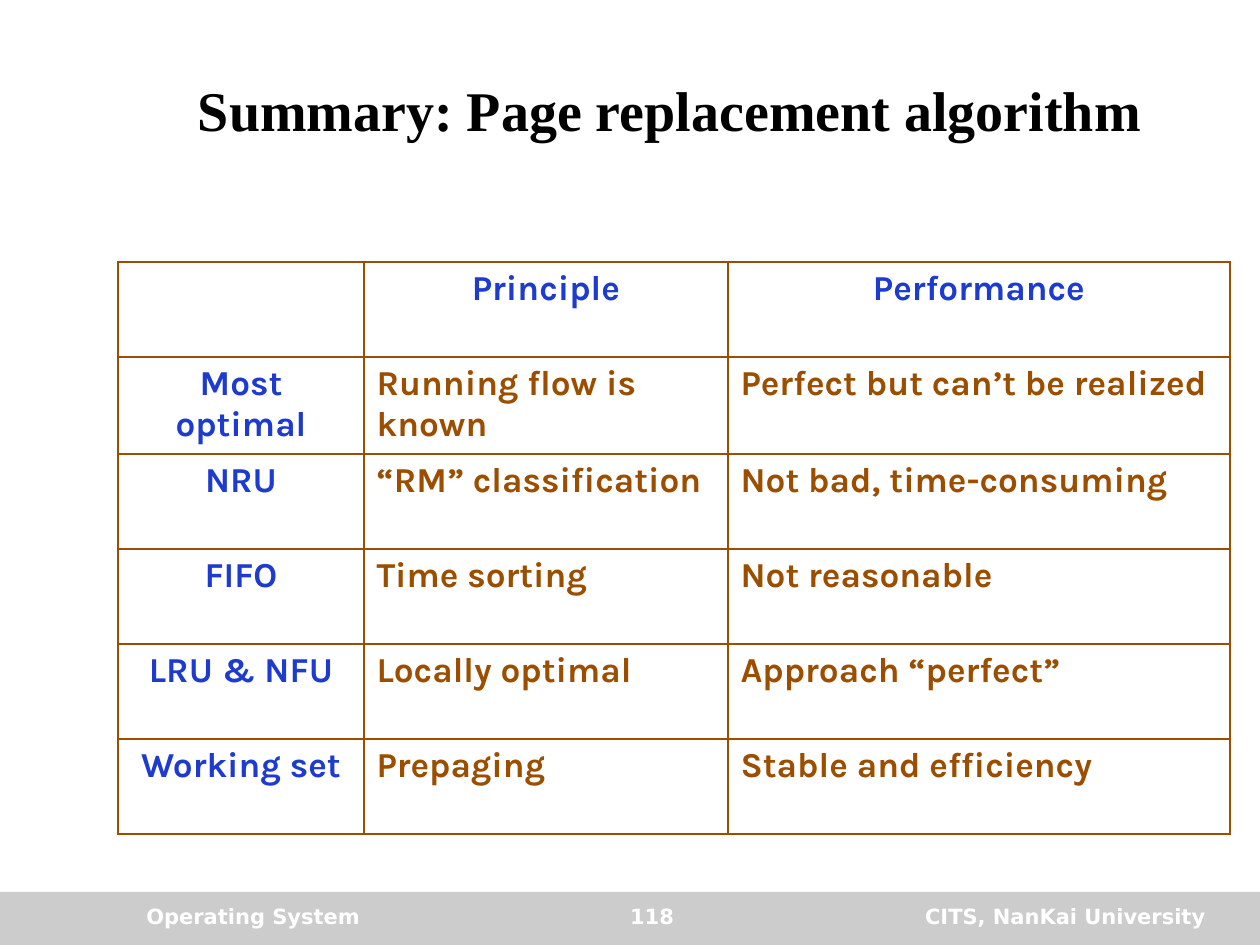
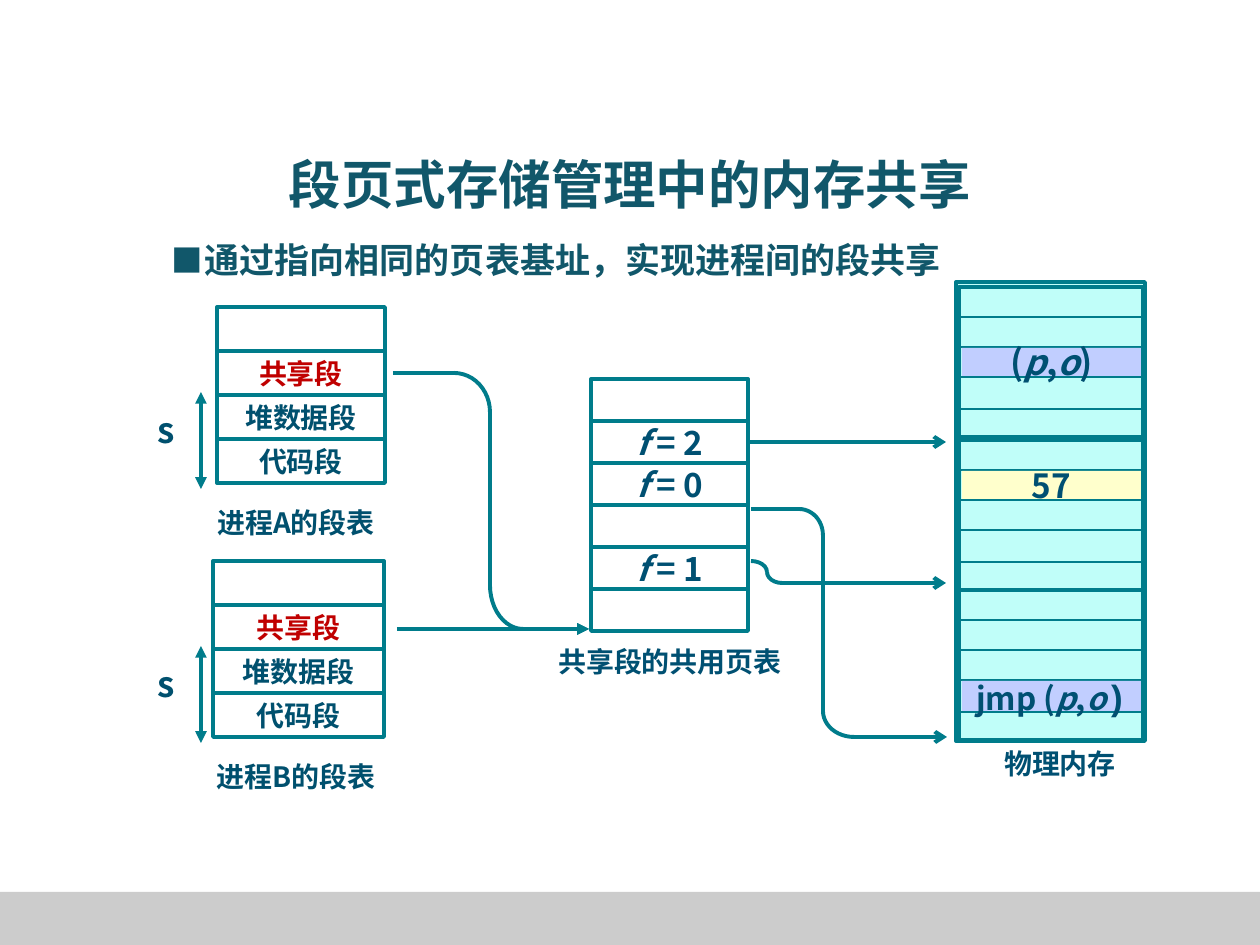
from lxml import etree
from pptx import Presentation
from pptx import util as u
from pptx.dml.color import RGBColor
from pptx.enum import shapes, text
from pptx.oxml.ns import qn

WHITE = RGBColor(0xFF, 0xFF, 0xFF)
BLACK = RGBColor(0x00, 0x00, 0x00)
GREY = RGBColor(0xCC, 0xCC, 0xCC)
BROWN = RGBColor(0x9C, 0x4E, 0x00)
BLUE = RGBColor(0x1D, 0x3B, 0xCE)
RED = RGBColor(0xC0, 0x00, 0x00)
TEAL = RGBColor(0x00, 0x7C, 0x8B)
TITLE_TEAL = RGBColor(0x11, 0x57, 0x6A)
SEGMENT_INK = RGBColor(0x00, 0x50, 0x6E)
MEMORY_INK = RGBColor(0x00, 0x50, 0x72)
MEMORY_FILL = RGBColor(0xC0, 0xFE, 0xF9)
VIOLET = RGBColor(0xC1, 0xCE, 0xFF)
YELLOW = RGBColor(0xFF, 0xFF, 0xCC)

CJK = "Noto Sans CJK SC"
LEFT, CENTER, RIGHT = text.PP_ALIGN.LEFT, text.PP_ALIGN.CENTER, text.PP_ALIGN.RIGHT
TOP, MIDDLE = text.MSO_ANCHOR.TOP, text.MSO_ANCHOR.MIDDLE
RECT, ARC = shapes.MSO_SHAPE.RECTANGLE, shapes.MSO_SHAPE.ARC

WIDTH, HEIGHT, BAND_TOP = 1260, 945, 892

# Slide 1
SUMMARY_TITLE = "Summary: Page replacement algorithm"
SUMMARY_ROWS = [
    ("", "Principle", "Performance"),
    ("Most optimal", "Running flow is known", "Perfect but can’t be realized"),
    ("NRU", "“RM” classification", "Not bad, time-consuming"),
    ("FIFO", "Time sorting", "Not reasonable"),
    ("LRU & NFU", "Locally optimal", "Approach “perfect”"),
    ("Working set", "Prepaging", "Stable and efficiency"),
]
SUMMARY_COLUMNS = (246, 364, 502)
SUMMARY_HEIGHTS = (95, 97, 95, 95, 95, 95)
FOOTERS = [  # text, left, width, alignment
    ("Operating System", 134, 346, LEFT),
    ("CITS, NanKai University", 819, 399, RIGHT),
    ("118", 505, 294, CENTER),
]

# Slide 2; *stars* mark italics
SHARING_TITLE = "段页式存储管理中的内存共享"
SHARING_POINT = "通过指向相同的页表基址，实现进程间的段共享"
SEGMENTS = ["", "共享段", "堆数据段", "代码段"]
SEGMENT_TABLES = [  # caption, left, top, width
    ("进程A的段表", 217, 307, 168),
    ("进程B的段表", 213, 561, 171),
]
FRAMES = ["", "*f* = 2", "*f* = 0", "", "*f* = 1", ""]
CAPTIONS = [("共享段的共用页表", 670, 661), ("物理内存", 1060, 763)]
MEMORY_BLOCKS = (287, 440, 590)
SLOT_EDGES = (0, 30, 60, 90, 122, 150)
MARKED_SLOTS = [  # text, block, slot, fill, size
    ("(*p*,*o*)", 0, 2, VIOLET, 20),
    ("57", 1, 1, YELLOW, 19),
    ("jmp (*p*,*o*)", 2, 3, VIOLET, 18),
]
BENT_ARROWS = [  # start, x of the upright, first radii, second radii, end, head
    ((393, 373), 490, (36, 39), (33, 44), (589, 629), "triangle"),
    ((751, 509), 823, (24, 26), (31, 26), (947, 737), "arrow"),
    ((751, 561), 767, (16, 11), (15, 11), (946, 583), "arrow"),
]


def px(*lengths):
    """Turn px into EMU: one value for one length, else a list."""
    emus = [u.Emu(round(length * 914400 / 126)) for length in lengths]
    return emus[0] if len(emus) == 1 else emus


def write(frame, words, size=16, font=CJK, color=SEGMENT_INK, align=CENTER,
          anchor=MIDDLE, wrap=True, spacing=None):
    """Fill a text frame with bold text; *stars* mark italics."""
    frame.word_wrap = wrap
    frame.vertical_anchor = anchor
    para = frame.paragraphs[0]
    para.alignment = align
    para.space_before = u.Pt(0)
    para.line_spacing = spacing
    for number, piece in enumerate(words.split("*")):
        if not piece:
            continue
        span = para.add_run()
        span.text = piece
        span.font.name, span.font.size = font, u.Pt(size)
        span.font.bold, span.font.italic = True, number % 2 == 1
        span.font.color.rgb = color
        etree.SubElement(span._r.get_or_add_rPr(), qn("a:ea"), typeface=font)
    return para


def add_label(page, words, left, top, width, height, **style):
    box = page.shapes.add_textbox(*px(left, top, width, height))
    write(box.text_frame, words, **style)


def fill_placeholder(holder, words, left, top, width, height, **style):
    holder.left, holder.top, holder.width, holder.height = px(left, top, width, height)
    holder.text_frame.auto_size = text.MSO_AUTO_SIZE.NONE
    return write(holder.text_frame, words, **style)


def add_box(page, left, top, width, height, fill=None, line=TEAL, kind=RECT):
    box = page.shapes.add_shape(kind, *px(left, top, width, height))
    box.shadow.inherit = False
    if fill is None:
        box.fill.background()
    else:
        box.fill.solid()
        box.fill.fore_color.rgb = fill
    if line is None:
        box.line.fill.background()
    else:
        box.line.color.rgb = line
        box.line.width = u.Pt(2.25)
    frame = box.text_frame
    frame.margin_left = frame.margin_right = frame.margin_top = frame.margin_bottom = 0
    return box


def add_line(page, start, end, weight=2.25, head=None, tail=None):
    line = page.shapes.add_connector(
        shapes.MSO_CONNECTOR.STRAIGHT, *px(*start, *end))
    line.line.color.rgb = TEAL
    line.line.width = u.Pt(weight)
    for tag, kind in (("a:headEnd", head), ("a:tailEnd", tail)):
        if kind:
            etree.SubElement(line.get_or_add_ln(), qn(tag), type=kind)
    etree.SubElement(line.element.spPr, qn("a:effectLst"))
    return line


def add_quarter(page, center, radii, angles):
    """Draw a quarter of an ellipse, angles in degrees clockwise from the right."""
    (x, y), (rx, ry) = center, radii
    arc = add_box(page, x - rx, y - ry, 2 * rx, 2 * ry, kind=ARC)
    for number, angle in enumerate(angles):
        arc.adjustments[number] = angle * 0.6


def add_bent_arrow(page, start, upright, first, second, end, head):
    """Run right, bend down, then bend right again to the arrowhead."""
    bend_x, exit_x = upright - first[0], upright + second[0]
    upper_y, lower_y = start[1] + first[1], end[1] - second[1]
    if bend_x > start[0]:
        add_line(page, start, (bend_x, start[1]))
    add_quarter(page, (bend_x, upper_y), first, (270, 0))
    if lower_y > upper_y:
        add_line(page, (upright, upper_y), (upright, lower_y))
    add_quarter(page, (exit_x, lower_y), second, (90, 180))
    add_line(page, (exit_x, end[1]), end, tail=head)


def add_stack(page, rows, left, top, width, pitch, **style):
    """Stack one outlined box per row and return the boxes."""
    boxes = []
    for number, words in enumerate(rows):
        box = add_box(page, left, top + number * pitch, width, pitch)
        if words:
            write(box.text_frame, words, **style)
        boxes.append(box)
    return boxes


def add_master_band(deck, page):
    band = add_box(page, 0, BAND_TOP, WIDTH, HEIGHT - BAND_TOP, fill=GREY, line=None)
    deck.slide_master.element.cSld.spTree.insert(2, band.element)


def add_borders(cell):
    properties = cell._tc.get_or_add_tcPr()
    for side in "LRTB":
        edge = etree.SubElement(properties, qn(f"a:ln{side}"), w=str(u.Pt(1.5)))
        paint = etree.SubElement(edge, qn("a:solidFill"))
        etree.SubElement(paint, qn("a:srgbClr"), val=str(BROWN))


def build_summary(page):
    fill_placeholder(page.shapes.title, SUMMARY_TITLE, 134, 42, 1072, 135,
                     size=32, font="Times New Roman", color=BLACK)
    for words, left, width, align in FOOTERS:
        add_label(page, words, left, 897, width, 42, size=12,
                  font="DejaVu Sans", color=WHITE, align=align, anchor=TOP)
    table = page.shapes.add_table(
        len(SUMMARY_ROWS), len(SUMMARY_COLUMNS),
        *px(118, 262, sum(SUMMARY_COLUMNS), sum(SUMMARY_HEIGHTS))).table
    table.first_row = table.horz_banding = False
    for column, width in zip(table.columns, SUMMARY_COLUMNS):
        column.width = px(width)
    for r, row in enumerate(SUMMARY_ROWS):
        table.rows[r].height = px(SUMMARY_HEIGHTS[r])
        for c, words in enumerate(row):
            cell = table.cell(r, c)
            add_borders(cell)
            cell.fill.background()
            heading = r == 0 or c == 0
            write(cell.text_frame, words, size=20, font="Karla", anchor=TOP,
                  color=BLUE if heading else BROWN,
                  align=CENTER if heading else LEFT)


def add_point(page):
    para = fill_placeholder(page.placeholders[1], SHARING_POINT, 159, 230, 800, 58,
                            size=20, color=TITLE_TEAL, align=LEFT)
    properties = para._p.get_or_add_pPr()
    properties.set("marL", str(px(33)))
    properties.set("indent", str(px(-33)))
    etree.SubElement(properties, qn("a:buSzPct"), val="90000")
    etree.SubElement(properties, qn("a:buFont"), typeface="Noto Sans CJK JP")
    etree.SubElement(properties, qn("a:buChar"), char="■")


def add_segment_table(page, caption, left, top, width):
    cells = add_stack(page, SEGMENTS, left, top, width, 44)
    cells[1].text_frame.paragraphs[0].runs[0].font.color.rgb = RED
    add_label(page, caption, 203, top + 180, 186, 76, spacing=0.81)
    add_label(page, "s", 145, top + 95, 63, 54, size=20, align=LEFT)
    add_line(page, (201, top + 182), (201, top + 85), head="triangle", tail="triangle")


def add_memory(page):
    add_box(page, 956, 282, 189, 459, fill=MEMORY_FILL)
    for top in MEMORY_BLOCKS:
        add_box(page, 959, top, 184, SLOT_EDGES[-1])
        for edge in SLOT_EDGES[1:-1]:
            add_line(page, (960, top + edge), (1142, top + edge), weight=1)
    for words, block, slot, fill, size in MARKED_SLOTS:
        top, bottom = (MEMORY_BLOCKS[block] + edge for edge in SLOT_EDGES[slot:slot + 2])
        strip = add_box(page, 962, top + 1, 179, bottom - top - 2, fill=fill, line=None)
        para = write(strip.text_frame, words, size=size, color=MEMORY_INK, wrap=False)
    closing = para.runs[-1].font
    closing.name, closing.size = "Courier New", u.Pt(20)


def build_sharing(page):
    fill_placeholder(page.shapes.title, SHARING_TITLE, 276, 145, 816, 78,
                     size=30, color=TITLE_TEAL, align=LEFT)
    add_point(page)
    for table in SEGMENT_TABLES:
        add_segment_table(page, *table)
    add_memory(page)
    frames = add_stack(page, FRAMES, 591, 379, 157, 42, size=19, color=MEMORY_INK)
    for words, x, y in CAPTIONS:
        add_label(page, words, x - 130, y - 24, 260, 48, color=MEMORY_INK)
    add_line(page, (748, 442), (946, 442), tail="arrow").begin_connect(frames[1], 3)
    add_line(page, (397, 629), (589, 629), tail="triangle")
    for arrow in BENT_ARROWS:
        add_bent_arrow(page, *arrow)


def main():
    deck = Presentation()
    deck.slide_width, deck.slide_height = px(WIDTH, HEIGHT)
    summary = deck.slides.add_slide(deck.slide_layouts[5])
    add_master_band(deck, summary)
    build_summary(summary)
    build_sharing(deck.slides.add_slide(deck.slide_layouts[1]))
    deck.save("out.pptx")


if __name__ == "__main__":
    main()
